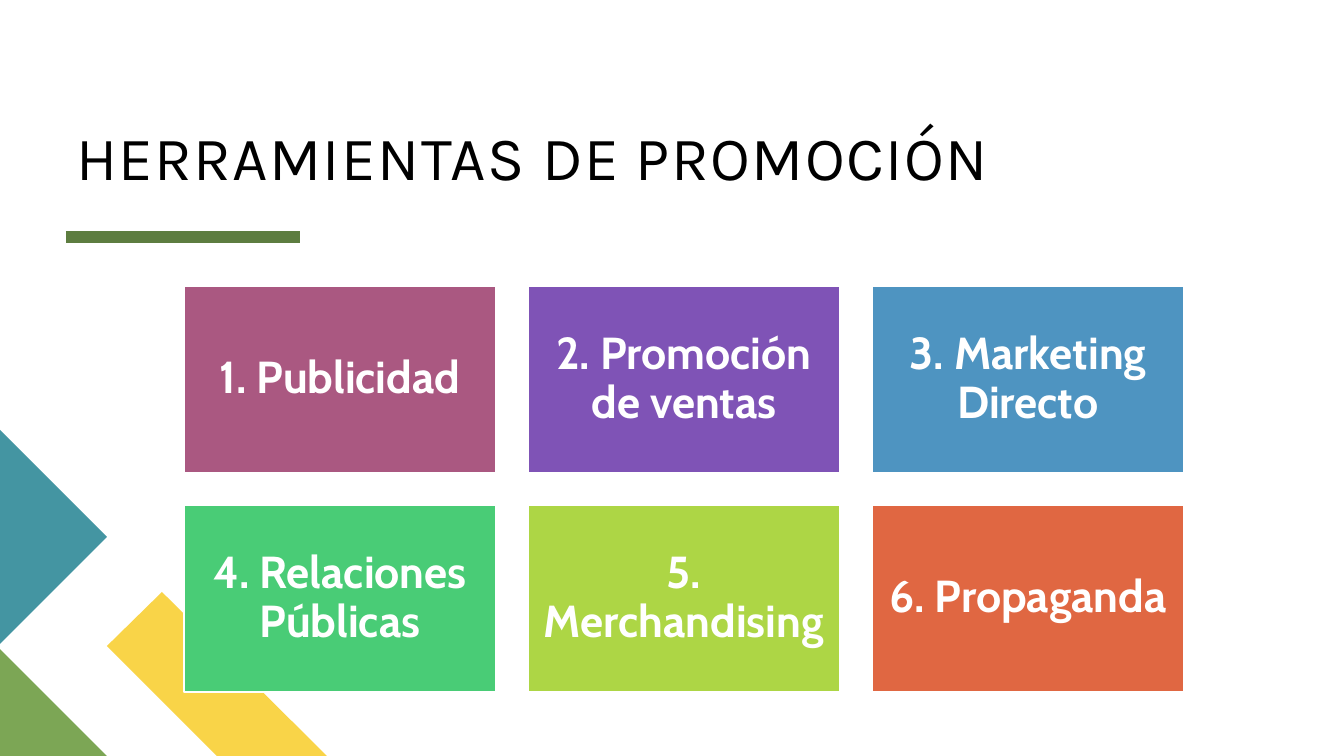
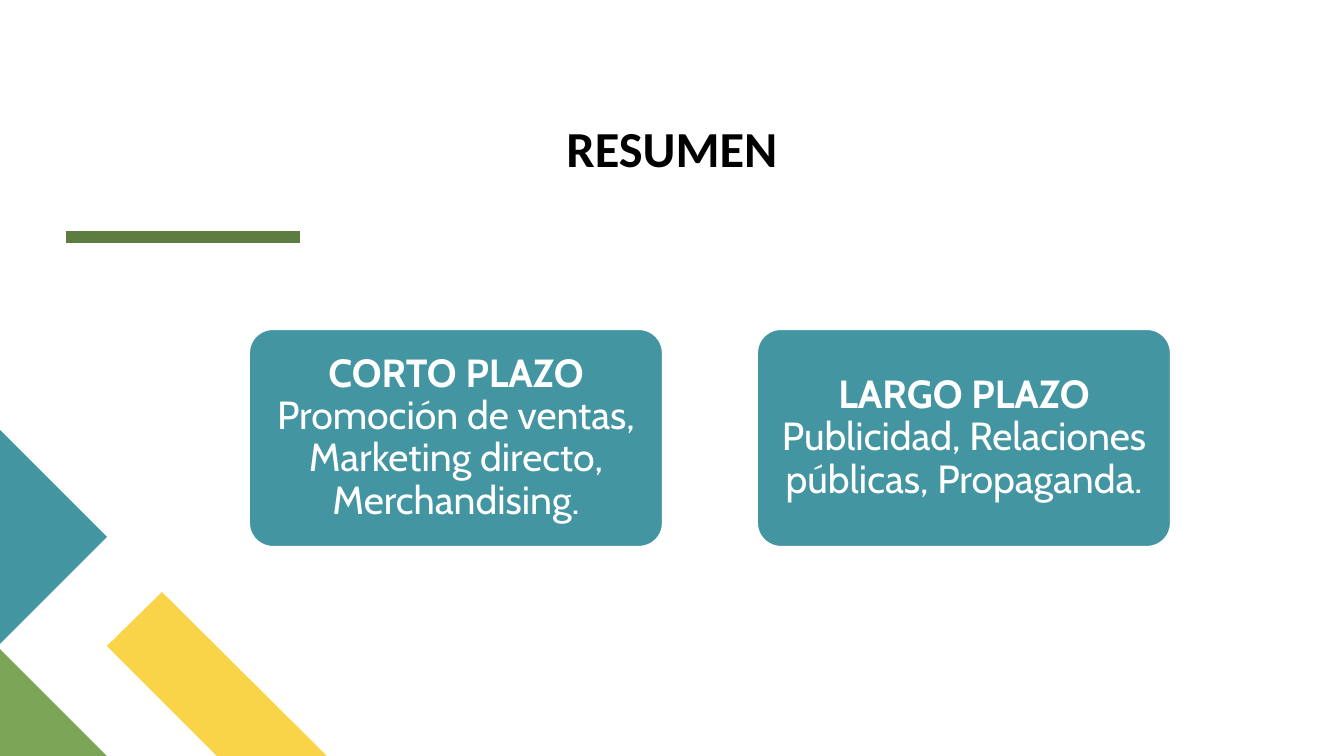
from typing import NamedTuple

import pptx
import pptx.util
import pptx.dml.color
import pptx.enum.shapes
import pptx.enum.text
import pptx.oxml.ns
import lxml.etree

SCALE = 914400 / 100.8  # EMU per px
SHAPE = pptx.enum.shapes.MSO_SHAPE
ALIGN = pptx.enum.text.PP_ALIGN
ANCHOR = pptx.enum.text.MSO_ANCHOR

BLACK, WHITE = "000000", "FFFFFF"
TEAL, YELLOW, GREEN, DARK_GREEN = "4495A2", "F9D448", "7CA655", "5D7D40"


class Box(NamedTuple):
    x: int
    y: int
    w: int
    h: int


class Ornament(NamedTuple):
    color: str
    points: list[tuple[int, int]]


class Tool(NamedTuple):
    name: str
    color: str


class Term(NamedTuple):
    name: str
    tools: str


ORNAMENTS = [
    Ornament(YELLOW, [(327, 756), (217, 756), (107, 646), (162, 592)]),
    Ornament(GREEN, [(107, 756), (0, 756), (0, 649)]),
    Ornament(TEAL, [(0, 430), (107, 537), (0, 644)]),
]
TOOLS = [
    Tool("1. Publicidad", "AA5881"),
    Tool("2. Promoción de ventas", "7F53B6"),
    Tool("3. Marketing Directo", "4E94C1"),
    Tool("4. Relaciones Públicas", "49CC76"),
    Tool("5. Merchandising", "ADD645"),
    Tool("6. Propaganda", "E06742"),
]
TERMS = [
    Term("CORTO PLAZO", "Promoción de ventas, Marketing directo, Merchandising."),
    Term("LARGO PLAZO", "Publicidad, Relaciones públicas, Propaganda."),
]


def px(n: int) -> int:
    return round(n * SCALE)


def rgb(color: str) -> pptx.dml.color.RGBColor:
    return pptx.dml.color.RGBColor.from_string(color)


def add_run(p, text: str, *, size: int, font: str = "Cabin", color: str = WHITE,
            bold: bool = False, spacing: int = 0) -> None:
    """Append a run; spacing is in hundredths of a point."""
    r = p.add_run()
    r.text = text
    r.font.size = pptx.util.Pt(size)
    r.font.name = font
    r.font.bold = bold
    r.font.color.rgb = rgb(color)
    if spacing:
        r.font._element.set("spc", str(spacing))


def add_ornaments(s) -> None:
    rule = s.shapes.add_connector(pptx.enum.shapes.MSO_CONNECTOR.STRAIGHT,
                                  px(66), px(237), px(300), px(237))
    rule.line.color.rgb = rgb(DARK_GREEN)
    rule.line.width = pptx.util.Pt(8)
    lxml.etree.SubElement(rule._element.spPr, pptx.oxml.ns.qn("a:effectLst"))
    for ornament in ORNAMENTS:
        start, *rest = ornament.points
        builder = s.shapes.build_freeform(*start, scale=SCALE)
        builder.add_line_segments(rest, close=True)
        sp = builder.convert_to_shape()
        sp.shadow.inherit = False
        sp.fill.solid()
        sp.fill.fore_color.rgb = rgb(ornament.color)
        sp.line.fill.background()


def add_slide(prs, title: str, box: Box, *, anchor: ANCHOR, align: ALIGN,
              line_spacing: float = 1.0, **run_format):
    s = prs.slides.add_slide(prs.slide_layouts.get_by_name("Title Only"))
    add_ornaments(s)
    sp = s.shapes.title
    sp.left, sp.top, sp.width, sp.height = map(px, box)
    tf = sp.text_frame
    tf.auto_size = pptx.enum.text.MSO_AUTO_SIZE.NONE
    tf.vertical_anchor = anchor
    p = tf.paragraphs[0]
    p.alignment = align
    p.line_spacing = line_spacing
    add_run(p, title, **run_format)
    return s


def add_card(s, kind: SHAPE, box: Box, color: str, *, line_width: float, inset: int):
    """Add a filled card and return its shape and centred paragraph."""
    sp = s.shapes.add_shape(kind, *map(px, box))
    sp.shadow.inherit = False
    sp.fill.solid()
    sp.fill.fore_color.rgb = rgb(color)
    sp.line.color.rgb = rgb(WHITE)
    sp.line.width = pptx.util.Pt(line_width)
    tf = sp.text_frame
    tf.word_wrap = True
    tf.vertical_anchor = ANCHOR.MIDDLE
    tf.margin_left = tf.margin_right = tf.margin_top = tf.margin_bottom = px(inset)
    p = tf.paragraphs[0]
    p.alignment = ALIGN.CENTER
    p.line_spacing = 0.9
    return sp, p


def build_tools(prs) -> None:
    s = add_slide(prs, "HERRAMIENTAS DE PROMOCIÓN", Box(66, 11, 1199, 186),
                  anchor=ANCHOR.BOTTOM, align=ALIGN.LEFT, line_spacing=0.8,
                  size=44, font="Karla", color=BLACK, spacing=100)
    for i, tool in enumerate(TOOLS):
        row, col = divmod(i, 3)
        box = Box(184 + 344 * col, 286 + 219 * row, 312, 187)
        _, p = add_card(s, SHAPE.RECTANGLE, box, tool.color, line_width=1, inset=13)
        add_run(p, tool.name, size=32, bold=True)


def build_summary(prs) -> None:
    s = add_slide(prs, "RESUMEN", Box(46, 112, 1252, 54),
                  anchor=ANCHOR.TOP, align=ALIGN.CENTER,
                  size=36, font="Calibri", color=BLACK, bold=True)
    for i, term in enumerate(TERMS):
        box = Box(249 + 508 * i, 329, 414, 218)
        sp, p = add_card(s, SHAPE.ROUNDED_RECTANGLE, box, TEAL, line_width=1.5, inset=17)
        sp.adjustments[0] = 0.11
        add_run(p, term.name, size=28, bold=True)
        add_run(p, f" {term.tools}", size=28)


def main() -> None:
    prs = pptx.Presentation()
    prs.slide_width, prs.slide_height = px(1344), px(756)
    build_tools(prs)
    build_summary(prs)
    prs.save("out.pptx")


if __name__ == "__main__":
    main()
